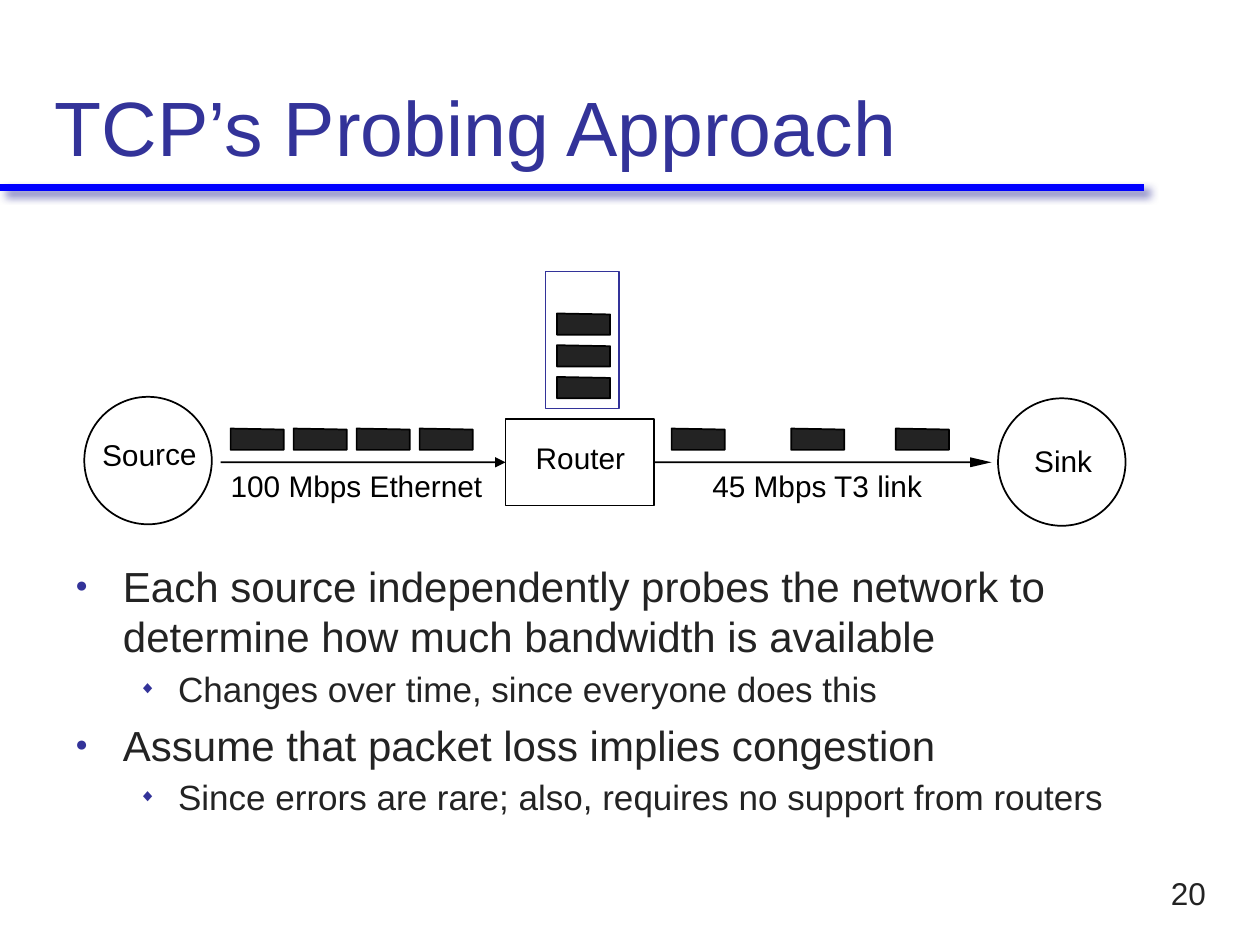
from lxml import etree
from pptx import Presentation
from pptx.dml.color import RGBColor
from pptx.enum.shapes import MSO_CONNECTOR, MSO_SHAPE
from pptx.enum.text import MSO_ANCHOR, PP_ALIGN
from pptx.oxml.ns import qn
from pptx.util import Cm, Pt

STRAIGHT = MSO_CONNECTOR.STRAIGHT
RECTANGLE, OVAL = MSO_SHAPE.RECTANGLE, MSO_SHAPE.OVAL
TOP, MIDDLE, BOTTOM = MSO_ANCHOR.TOP, MSO_ANCHOR.MIDDLE, MSO_ANCHOR.BOTTOM
LEFT, RIGHT = PP_ALIGN.LEFT, PP_ALIGN.RIGHT

BLACK = RGBColor(0x00, 0x00, 0x00)
WHITE = RGBColor(0xFF, 0xFF, 0xFF)
CHARCOAL = RGBColor(0x23, 0x23, 0x23)
INDIGO = RGBColor(0x33, 0x33, 0x99)
BLUE = RGBColor(0x00, 0x00, 0xFF)


def write_text(paragraph, text, size=17, color=BLACK, align=LEFT, bullet=None,
               margin=0, indent=0, space_before=0):
    paragraph.alignment = align
    paragraph.space_before = Pt(space_before)
    if bullet:
        properties = paragraph._p.get_or_add_pPr()
        properties.set("marL", str(Cm(margin)))
        properties.set("indent", str(Cm(indent)))
        bullet_color = etree.SubElement(properties, qn("a:buClr"))
        etree.SubElement(bullet_color, qn("a:srgbClr"), val=str(INDIGO))
        etree.SubElement(properties, qn("a:buSzPct"), val="50000")
        etree.SubElement(properties, qn("a:buFont"), typeface="Arial")
        etree.SubElement(properties, qn("a:buChar"), char=bullet)
    run = paragraph.add_run()
    run.text = text
    run.font.name = "Arial"
    run.font.size = Pt(size)
    run.font.color.rgb = color


def set_frame(frame, inset_x, inset_y, anchor, wrap):
    frame.margin_left = frame.margin_right = Cm(inset_x)
    frame.margin_top = frame.margin_bottom = Cm(inset_y)
    frame.vertical_anchor = anchor
    frame.word_wrap = wrap


presentation = Presentation()
presentation.slide_width, presentation.slide_height = Cm(25.4), Cm(19.05)
slide = presentation.slides.add_slide(presentation.slide_layouts[5])
shapes = slide.shapes

title = shapes.title
title.left, title.top, title.width, title.height = Cm(0.85), Cm(0.42), Cm(23.7), Cm(3.18)
set_frame(title.text_frame, 0.25, 0.13, BOTTOM, True)
write_text(title.text_frame.paragraphs[0], "TCP’s Probing Approach", size=44, color=INDIGO)

nodes = {}
for name, kind, left, top, width, height, line_color, line_width in [
    ("source", OVAL, 1.7, 8, 2.57, 2.57, BLACK, 1),
    ("router", RECTANGLE, 10.19, 8.45, 3, 1.74, BLACK, 1),
    ("sink", OVAL, 20.12, 8.03, 2.57, 2.57, BLACK, 1),
    ("queue", RECTANGLE, 11, 5.48, 1.48, 2.75, INDIGO, 0.75),
]:
    node = shapes.add_shape(kind, Cm(left), Cm(top), Cm(width), Cm(height))
    node.shadow.inherit = False
    node.fill.solid()
    node.fill.fore_color.rgb = WHITE
    node.line.color.rgb = line_color
    node.line.width = Pt(line_width)
    nodes[name] = node

LINK_Y = 9.32
connectors = {}
for name, start, end, y, color, width in [
    ("title rule", 0, 23.06, 3.78, BLUE, 3.5),
    ("ethernet", 4.45, 10.19, LINK_Y, BLACK, 1),
    ("t3", 13.19, 19.69, LINK_Y, BLACK, 1),
]:
    connector = shapes.add_connector(STRAIGHT, Cm(start), Cm(y), Cm(end), Cm(y))
    connector.line.color.rgb = color
    connector.line.width = Pt(width)
    effects = etree.SubElement(connector._element.spPr, qn("a:effectLst"))
    connectors[name] = connector
    if name == "title rule":
        shadow = etree.SubElement(effects, qn("a:outerShdw"), blurRad=str(Pt(5)),
                                  dist=str(Pt(4.2)), dir="2700000")
        shadow_color = etree.SubElement(shadow, qn("a:srgbClr"), val=str(INDIGO))
        etree.SubElement(shadow_color, qn("a:alpha"), val="75000")

connectors["ethernet"].end_connect(nodes["router"], 1)
connectors["t3"].begin_connect(nodes["router"], 3)
ethernet_line = connectors["ethernet"].line._get_or_add_ln()
etree.SubElement(ethernet_line, qn("a:tailEnd"), type="triangle")

PACKET_WIDTH, PACKET_HEIGHT, PACKET_SLANT = 1.07, 0.43, 0.02
packets = [(4.65 + 1.27 * i, 8.64) for i in range(4)]
packets += [(left, 8.64) for left in (13.54, 15.95, 18.06)]
packets += [(11.23, 6.32 + 0.64 * i) for i in range(3)]
outlines = [
    [(left, top), (left + PACKET_WIDTH, top + PACKET_SLANT),
     (left + PACKET_WIDTH, top + PACKET_HEIGHT), (left, top + PACKET_HEIGHT)]
    for left, top in packets
]
arrowhead = [(19.56, LINK_Y - 0.1), (19.99, LINK_Y), (19.56, LINK_Y + 0.1)]
for outline in outlines + [arrowhead]:
    points = [(Cm(x), Cm(y)) for x, y in outline]
    builder = shapes.build_freeform(*points[0])
    builder.add_line_segments(points[1:], close=True)
    shape = builder.convert_to_shape()
    shape.shadow.inherit = False
    shape.fill.solid()
    if outline is arrowhead:
        shape.fill.fore_color.rgb = BLACK
        shape.line.fill.background()
    else:
        shape.fill.fore_color.rgb = CHARCOAL
        shape.line.color.rgb = BLACK
        shape.line.width = Pt(1)

for text, left, top, width, rotation in [
    ("Source", 2.06, 8.79, 2.1, -1),
    ("Router", 10.8, 8.86, 2.1, 0),
    ("Sink", 20.85, 8.92, 1.4, 0),
    ("100 Mbps Ethernet", 4.65, 9.42, 5.3, 0),
    ("45 Mbps T3 link", 14.36, 9.42, 4.5, 0),
]:
    label = shapes.add_textbox(Cm(left), Cm(top), Cm(width), Cm(0.71))
    label.rotation = rotation
    set_frame(label.text_frame, 0, 0, TOP, True)
    write_text(label.text_frame.paragraphs[0], text)

body = shapes.add_textbox(Cm(1.27), Cm(11.17), Cm(22.71), Cm(6))
set_frame(body.text_frame, 0.25, 0.13, TOP, True)
main_format = dict(size=24, bullet="●", margin=0.96, indent=-0.96)
detail_format = dict(size=20, bullet="◆", margin=2.07, indent=-0.79)
for index, (text, text_format, gap) in enumerate([
    ("Each source independently probes the network to determine how much bandwidth is available",
     main_format, 0),
    ("Changes over time, since everyone does this", detail_format, 3.5),
    ("Assume that packet loss implies congestion", main_format, 5.5),
    ("Since errors are rare; also, requires no support from routers", detail_format, 3.5),
]):
    paragraph = body.text_frame.add_paragraph() if index else body.text_frame.paragraphs[0]
    paragraph.level = 1 if text_format is detail_format else 0
    write_text(paragraph, text, color=CHARCOAL, space_before=gap, **text_format)

slide_number = shapes.add_textbox(Cm(22.86), Cm(17.37), Cm(1.7), Cm(1.27))
set_frame(slide_number.text_frame, 0.25, 0.13, MIDDLE, True)
write_text(slide_number.text_frame.paragraphs[0], "20", size=18, color=CHARCOAL, align=RIGHT)

presentation.save("out.pptx")
